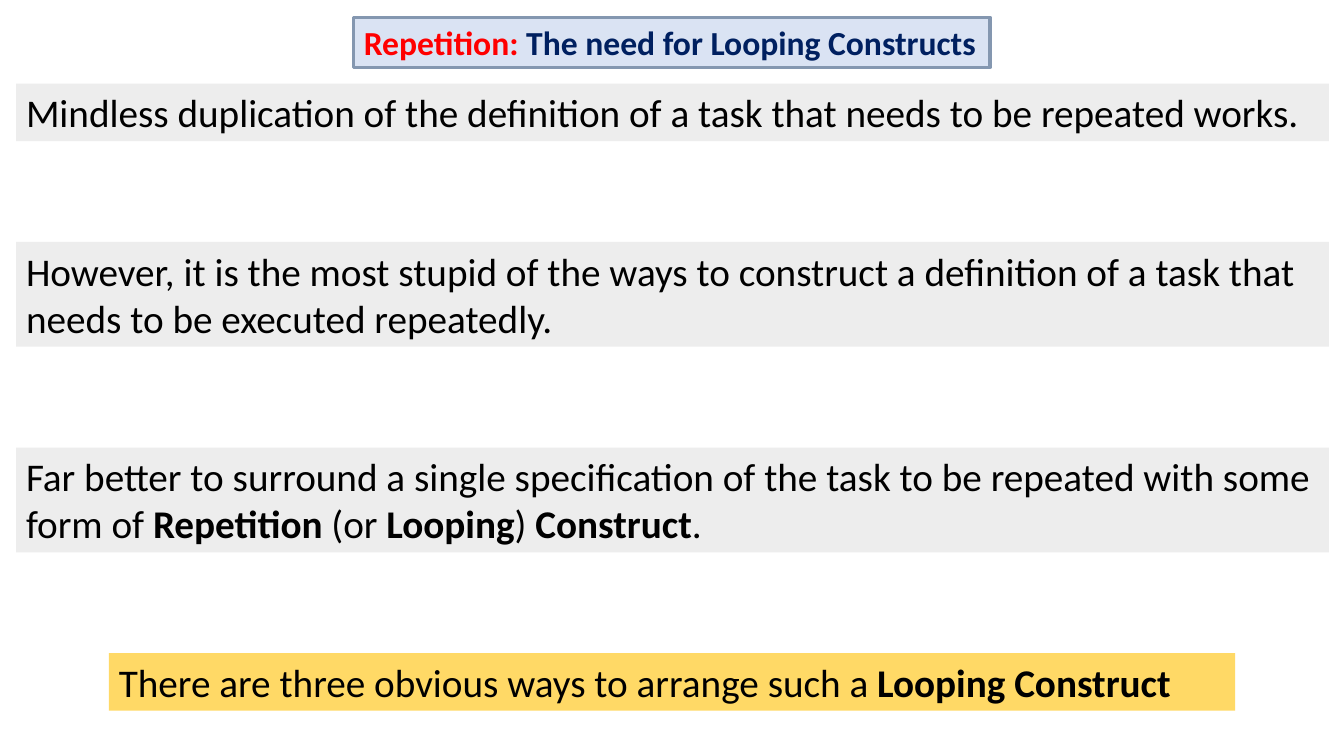
import pptx
import pptx.dml.color
import pptx.enum.text
import pptx.util

Inches = pptx.util.Inches

COLOURS = {
    "title_fill": "DAE3F3",
    "title_line": "8497B0",
    "topic": "FF0000",
    "title": "002060",
    "statement": "EDEDED",
    "conclusion": "FFD966",
    "text": "000000",
}
PLAIN = {"size": 28, "bold": False, "colour": "text"}
STRONG = {**PLAIN, "bold": True}
TOPIC = {"size": 24, "bold": True, "colour": "topic"}
TITLE = {**TOPIC, "colour": "title"}

GAP = 1.0
STATEMENTS = [
    (0.57, [("Mindless duplication of the definition of a task that needs to be repeated works.", PLAIN)]),
    (1.04, [("However, it is the most stupid of the ways to construct a definition of a task "
             "that needs to be executed repeatedly.", PLAIN)]),
    (1.04, [("Far better to surround a single specification of the task to be repeated "
             "with some form of ", PLAIN),
            ("Repetition", STRONG), (" (or ", PLAIN), ("Looping", STRONG),
            (") ", PLAIN), ("Construct", STRONG), (".", PLAIN)]),
]
CONCLUSION = [("There are three obvious ways to arrange such a ", PLAIN), ("Looping Construct", STRONG)]


def colour(name):
    """Return the named colour."""
    return pptx.dml.color.RGBColor.from_string(COLOURS[name])


def add_panel(page, left, top, width, height, fill, spans):
    """Place a filled text box holding one paragraph of formatted spans."""
    box = page.shapes.add_textbox(Inches(left), Inches(top), Inches(width), Inches(height))
    box.fill.solid()
    box.fill.fore_color.rgb = colour(fill)
    frame = box.text_frame
    frame.word_wrap = True
    frame.auto_size = pptx.enum.text.MSO_AUTO_SIZE.SHAPE_TO_FIT_TEXT
    para = frame.paragraphs[0]
    for text, style in spans:
        span = para.add_run()
        span.text = text
        values = {"name": "Calibri", "size": pptx.util.Pt(style["size"]), "bold": style["bold"]}
        for attribute, value in values.items():
            setattr(span.font, attribute, value)
        span.font.color.rgb = colour(style["colour"])
    return box


def add_title(page, left, top, width, height):
    """Place the outlined title."""
    spans = [("Repetition: ", TOPIC), ("The need for Looping Constructs", TITLE)]
    box = add_panel(page, left, top, width, height, "title_fill", spans)
    box.line.color.rgb = colour("title_line")
    box.line.width = pptx.util.Pt(2.25)


def add_statements(page, left, top, width):
    """Stack the statements with equal gaps and return the next free top."""
    for height, spans in STATEMENTS:
        add_panel(page, left, top, width, height, "statement", spans)
        top += height + GAP
    return top


def main():
    """Build and save the deck."""
    deck = pptx.Presentation()
    deck.slide_width, deck.slide_height = Inches(13.33), Inches(7.5)
    page = deck.slides.add_slide(deck.slide_layouts[6])
    add_title(page, 3.51, 0.17, 6.31, 0.5)
    conclusion_top = add_statements(page, 0.16, 0.83, 13.02)
    add_panel(page, 1.08, conclusion_top, 11.17, 0.57, "conclusion", CONCLUSION)
    deck.save("out.pptx")


if __name__ == "__main__":
    main()
